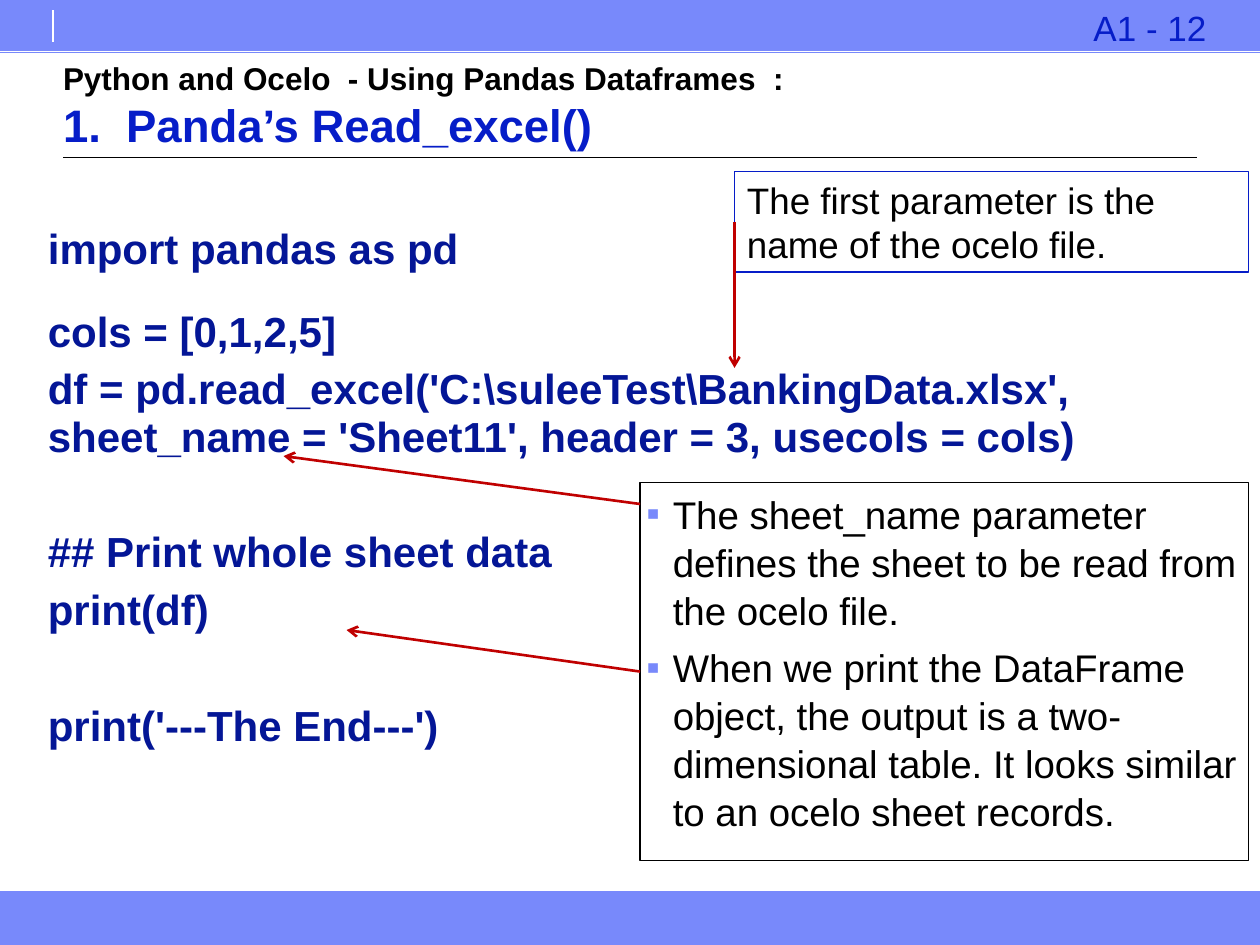
from lxml.etree import SubElement
from pptx import Presentation
from pptx.dml.color import RGBColor
from pptx.enum.shapes import MSO_CONNECTOR, MSO_SHAPE
from pptx.enum.text import MSO_ANCHOR, MSO_AUTO_SIZE, PP_ALIGN
from pptx.oxml.ns import qn
from pptx.util import Inches, Pt

BAR, BLUE, NAVY = "7889FB", "061DC8", "041696"
BLACK, WHITE, RED = "000000", "FFFFFF", "C00000"

# Each code line with the space before it in points
CODE = [
    ("import pandas as pd", 6),
    ("cols = [0,1,2,5]", 20),
    ("df = pd.read_excel('C:\\suleeTest\\BankingData.xlsx', "
     "sheet_name = 'Sheet11', header = 3, usecols = cols)", 6),
    ("## Print whole sheet data", 39),
    ("print(df)", 6),
    ("print('---The End---')", 39),
]
NOTES = [
    "The sheet_name parameter defines the sheet to be read from the ocelo file.",
    "When we print the DataFrame object, the output is a two-dimensional table. "
    "It looks similar to an ocelo sheet records.",
]


def rgb(color):
    return RGBColor.from_string(color)


def place(sp, left, top, width, height):
    sp.left, sp.top = Inches(left), Inches(top)
    sp.width, sp.height = Inches(width), Inches(height)


def set_frame(sp, margin_x, anchor=MSO_ANCHOR.TOP):
    tf = sp.text_frame
    tf.word_wrap = True
    tf.auto_size = MSO_AUTO_SIZE.NONE
    tf.vertical_anchor = anchor
    tf.margin_left = tf.margin_right = Inches(margin_x)
    tf.margin_top = tf.margin_bottom = Inches(0.05)
    return tf


def style(p, size, color, bold=False, before=0, spacing=1.0):
    p.alignment = PP_ALIGN.LEFT
    p.space_before = Pt(before)
    p.line_spacing = spacing
    for r in p.runs:
        r.font.name, r.font.size = "Arial", Pt(size)
        r.font.bold, r.font.color.rgb = bold, rgb(color)


def set_bullet(p, char=None, color=None, indent=0):
    pPr = p._p.get_or_add_pPr()
    pPr.set("marL", str(Inches(indent)))
    pPr.set("indent", str(-Inches(indent)))
    if char is None:
        SubElement(pPr, qn("a:buNone"))
        return
    clr = SubElement(pPr, qn("a:buClr"))
    SubElement(clr, qn("a:srgbClr")).set("val", color)
    SubElement(pPr, qn("a:buFont")).set("typeface", "Arial")
    SubElement(pPr, qn("a:buChar")).set("char", char)


def add_box(s, at, line, fill=None):
    sp = s.shapes.add_shape(MSO_SHAPE.RECTANGLE, *map(Inches, at))
    sp.shadow.inherit = False
    if fill:
        sp.fill.solid()
        sp.fill.fore_color.rgb = rgb(fill)
    else:
        sp.fill.background()
    sp.line.color.rgb, sp.line.width = rgb(line), Pt(0.75)
    return sp


def add_line(s, start, end, color, width, arrow=False):
    cn = s.shapes.add_connector(MSO_CONNECTOR.STRAIGHT, *map(Inches, start + end))
    cn.line.color.rgb, cn.line.width = rgb(color), Pt(width)
    if arrow:
        SubElement(cn.line._get_or_add_ln(), qn("a:tailEnd")).set("type", "arrow")
    SubElement(cn._element.spPr, qn("a:effectLst"))


def add_page_frame(s):
    for top in (-0.02, 7.08):
        add_box(s, (0, top, 10, 0.42), BAR, BAR)
    add_line(s, (0.42, 0.33), (0.42, 0.08), WHITE, 0.75)
    for y in (0.42, 7.08):
        add_line(s, (0, y), (10, y), BAR, 0.5)
    add_line(s, (0.5, 1.25), (9.5, 1.25), BLACK, 0.75)
    number = s.shapes.add_textbox(0, 0, 0, 0)
    place(number, 8.58, 0, 1.42, 0.44)
    tf = set_frame(number, 0.1)
    tf.text = "A1 - 12"
    style(tf.paragraphs[0], 20, BLUE)


def fill_title(sp):
    place(sp, 0.5, 0.33, 9, 0.92)
    tf = set_frame(sp, 0, MSO_ANCHOR.BOTTOM)
    tf.text = "Python and Ocelo  - Using Pandas Dataframes  :\n1.  Panda’s Read_excel()"
    for p, size, color in zip(tf.paragraphs, (18, 26), (BLACK, BLUE)):
        style(p, size, color, bold=True)


def fill_code(sp):
    place(sp, 0.33, 1.75, 9.42, 5)
    tf = set_frame(sp, 0.05)
    tf.text = "\n".join(text for text, _ in CODE)
    for p, (_, before) in zip(tf.paragraphs, CODE):
        style(p, 24, NAVY, True, before, 0.94)
        set_bullet(p)


def add_notes(s):
    tf = set_frame(add_box(s, (5.08, 3.83, 4.83, 3), BLACK), 0.05)
    tf.text = "\n".join(NOTES)
    for p in tf.paragraphs:
        style(p, 22, BLACK, before=5.5, spacing=1.04)
        set_bullet(p, "▪", BAR, 0.21)


def add_callout(s):
    tf = set_frame(add_box(s, (5.83, 1.36, 4.08, 0.8), BLUE, WHITE), 0.1)
    tf.text = "The first parameter is the name of the ocelo file."
    style(tf.paragraphs[0], 21, BLACK)


def main():
    prs = Presentation()
    prs.slide_width, prs.slide_height = Inches(10), Inches(7.5)
    s = prs.slides.add_slide(prs.slide_layouts[1])

    # Bars, rules and page number
    add_page_frame(s)

    # Title and code listing
    fill_title(s.shapes.title)
    fill_code(s.placeholders[1])

    # Explanations and their arrows
    add_notes(s)
    add_callout(s)
    for start, end in (((5.08, 4), (2.25, 3.62)),
                       ((5.83, 1.76), (5.83, 2.92)),
                       ((5.08, 5.33), (2.75, 5))):
        add_line(s, start, end, RED, 1.5, arrow=True)

    prs.save("out.pptx")


if __name__ == "__main__":
    main()
